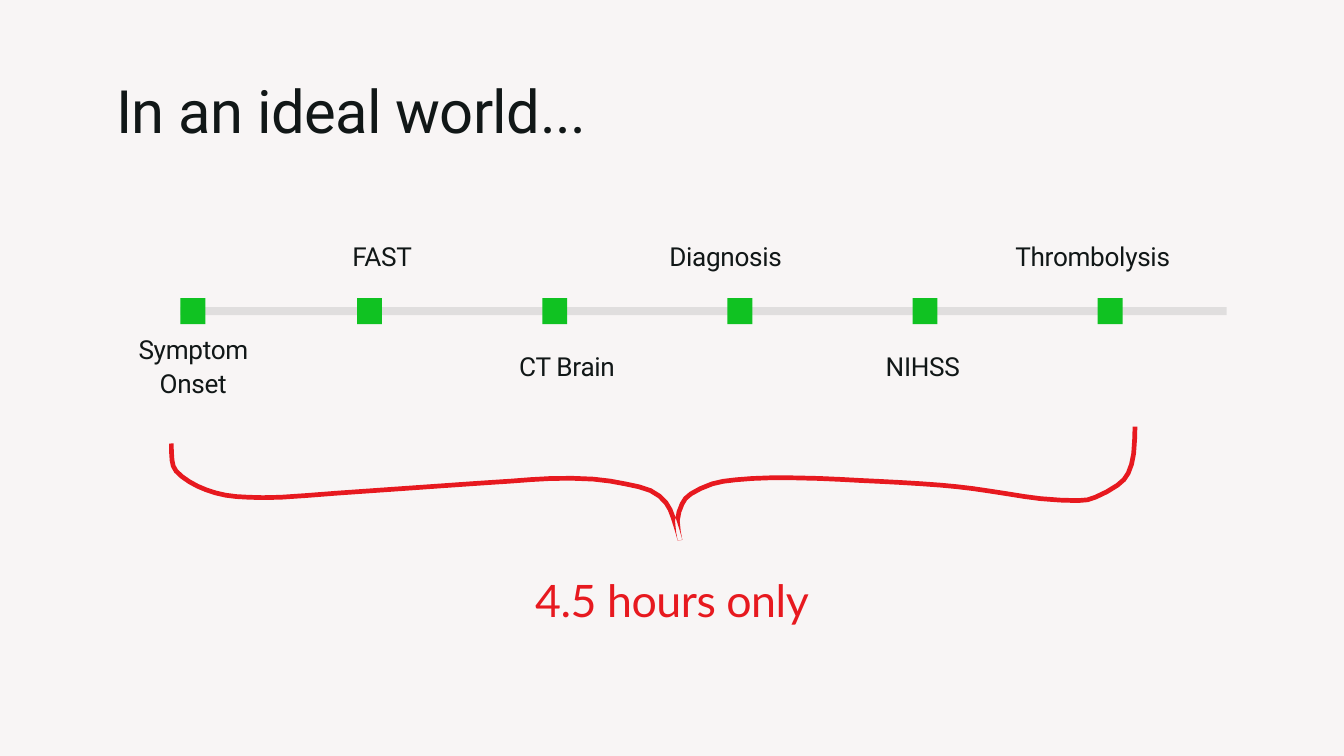
"""Build the ideal stroke timeline slide on a grid of 20 columns by 11.25 rows."""
import math

import pptx
import pptx.dml.color
import pptx.enum.shapes
import pptx.enum.text
import pptx.oxml
import pptx.oxml.ns
import pptx.util

COLUMNS, ROWS = 20, 11.25
CELL = pptx.util.Inches(1)
COLORS = {"paper": "F8F5F5", "ink": "111717", "step": "10C222", "limit": "E7191F"}
ALIGN = pptx.enum.text.PP_ALIGN

AXIS_ROW = 4.63
FIRST_STEP, SECOND_STEP, STEP_GAP = 2.87, 5.5, 2.755
ABOVE, BELOW = 3.54, 5.17

LABELS = [
    ("FAST", 3.4, ABOVE, 2.73, ALIGN.RIGHT),
    ("CT Brain", 6.51, BELOW, 2.64, ALIGN.RIGHT),
    ("Diagnosis", 9.96, ABOVE, 2.2, ALIGN.LEFT),
    ("Symptom Onset", 1.73, 4.92, 2.29, ALIGN.CENTER),
    ("NIHSS", 13.18, BELOW, 2.29, ALIGN.LEFT),
    ("Thrombolysis", 15.11, ABOVE, 2.83, ALIGN.LEFT),
]

BRACE_WIDTH = 0.07
BRACE_LEFT = [
    (2.55, 6.6), (2.56, 6.85), (2.62, 7.01), (2.82, 7.17), (3.07, 7.29),
    (3.36, 7.37), (3.7, 7.4), (4.18, 7.4), (5, 7.34), (6, 7.27), (7, 7.2),
    (7.6, 7.16), (8.21, 7.12), (8.83, 7.13), (9.3, 7.2), (9.68, 7.3),
    (9.91, 7.48), (10.02, 7.71), (10.12, 8.04),
]
BRACE_RIGHT = [
    (10.12, 8.04), (10.08, 7.75), (10.15, 7.5), (10.28, 7.35), (10.6, 7.2),
    (10.95, 7.14), (11.48, 7.11), (12.19, 7.12), (12.8, 7.15), (13.4, 7.18),
    (14, 7.22), (14.47, 7.27), (15, 7.35), (15.48, 7.42), (16.04, 7.45),
    (16.3, 7.4), (16.63, 7.22), (16.79, 7.04), (16.87, 6.75), (16.89, 6.35),
]


def grid(*cells):
    """Turn grid units into slide lengths."""
    return [round(cell * CELL) for cell in cells]


def color(name):
    """Look up a named colour."""
    return pptx.dml.color.RGBColor.from_string(COLORS[name])


def paint(shape, name):
    """Give a shape a flat fill without outline or shadow."""
    shape.shadow.inherit = False
    shape.fill.solid()
    shape.fill.fore_color.rgb = color(name)
    shape.line.fill.background()


def add_block(page, center, middle, width, height, fill, opacity=100):
    """Add a rectangle around its centre."""
    block = page.shapes.add_shape(
        pptx.enum.shapes.MSO_SHAPE.RECTANGLE,
        *grid(center - width / 2, middle - height / 2, width, height))
    paint(block, fill)
    if opacity < 100:
        swatch = block.fill._xPr.find(".//" + pptx.oxml.ns.qn("a:srgbClr"))
        alpha = pptx.oxml.parse_xml(
            f'<a:alpha {pptx.oxml.ns.nsdecls("a")} val="{opacity * 1000}"/>')
        swatch.append(alpha)


def add_text(page, text, left, top, width, height, size=28, leading=36.4,
             font="Roboto", fill="ink", align=ALIGN.LEFT, tracking=-30):
    """Add a text box with one formatted paragraph."""
    box = page.shapes.add_textbox(*grid(left, top, width, height))
    frame = box.text_frame
    frame.word_wrap = True
    frame.margin_left = frame.margin_right = 0
    frame.margin_top = frame.margin_bottom = 0
    para = frame.paragraphs[0]
    para.alignment = align
    para.line_spacing = pptx.util.Pt(leading)
    span = para.add_run()
    span.text = text
    span.font.size = pptx.util.Pt(size)
    span.font.name = font
    span.font.color.rgb = color(fill)
    span.font._element.set("spc", str(tracking))


def smooth(points, pieces=2):
    """Sample a Catmull-Rom curve through the points."""
    padded = [points[0], *points, points[-1]]
    curve = []
    for before, start, end, after in zip(padded, padded[1:], padded[2:], padded[3:]):
        for piece in range(pieces):
            t = piece / pieces
            curve.append(tuple(
                b + t / 2 * (c - a + t * (2 * a - 5 * b + 4 * c - d
                                          + t * (3 * b - a - 3 * c + d)))
                for a, b, c, d in zip(before, start, end, after)))
    return curve + [points[-1]]


def ribbon(points, width):
    """Return the outline of a stroke of even width along a smooth curve."""
    curve = smooth(points)
    sides = [], []
    for index, (x, y) in enumerate(curve):
        back, ahead = curve[max(index - 1, 0)], curve[min(index + 1, len(curve) - 1)]
        angle = math.atan2(ahead[1] - back[1], ahead[0] - back[0])
        across, down = -math.sin(angle) * width / 2, math.cos(angle) * width / 2
        sides[0].append(grid(x + across, y + down))
        sides[1].append(grid(x - across, y - down))
    return sides[0] + sides[1][::-1]


def add_brace(page, strokes, width, fill):
    """Add a hand-drawn brace made of ribbon strokes."""
    first, *others = [ribbon(stroke, width) for stroke in strokes]
    builder = page.shapes.build_freeform(*first[0])
    builder.add_line_segments(first[1:], close=True)
    for outline in others:
        builder.move_to(*outline[0])
        builder.add_line_segments(outline[1:], close=True)
    paint(builder.convert_to_shape(), fill)


def main():
    """Build and save the slide."""
    deck = pptx.Presentation()
    deck.slide_width, deck.slide_height = grid(COLUMNS, ROWS)
    page = deck.slides.add_slide(deck.slide_layouts[6])
    page.background.fill.solid()
    page.background.fill.fore_color.rgb = color("paper")

    add_block(page, 10.47, AXIS_ROW, 15.57, 0.12, "ink", opacity=10)
    for center in [FIRST_STEP] + [SECOND_STEP + STEP_GAP * i for i in range(5)]:
        add_block(page, center, AXIS_ROW, 0.37, 0.39, "step")
    add_brace(page, [BRACE_LEFT, BRACE_RIGHT], BRACE_WIDTH, "limit")

    for text, left, top, width, align in LABELS:
        add_text(page, text, left, top, width, 1 if " Onset" in text else 0.5, align=align)
    add_text(page, "In an ideal world...", 1.73, 1.01, 10.56, 1.11,
             size=64, leading=83.2, tracking=-60)
    add_text(page, "4.5 hours only", 6.16, 8.45, 7.68, 0.85, size=47.9, leading=62.3,
             font="Lato", fill="limit", align=ALIGN.CENTER, tracking=-50)
    deck.save("out.pptx")


if __name__ == "__main__":
    main()
